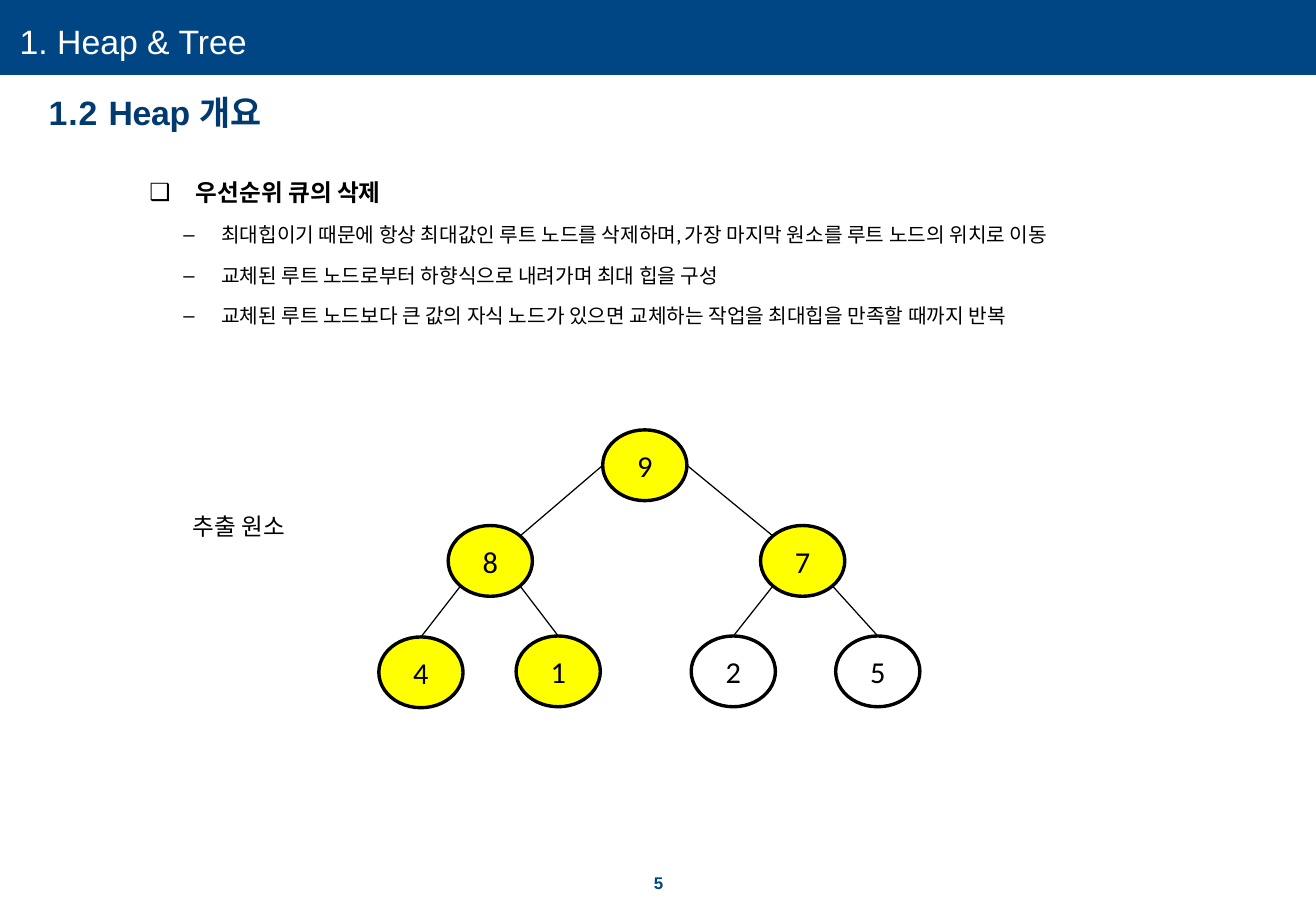
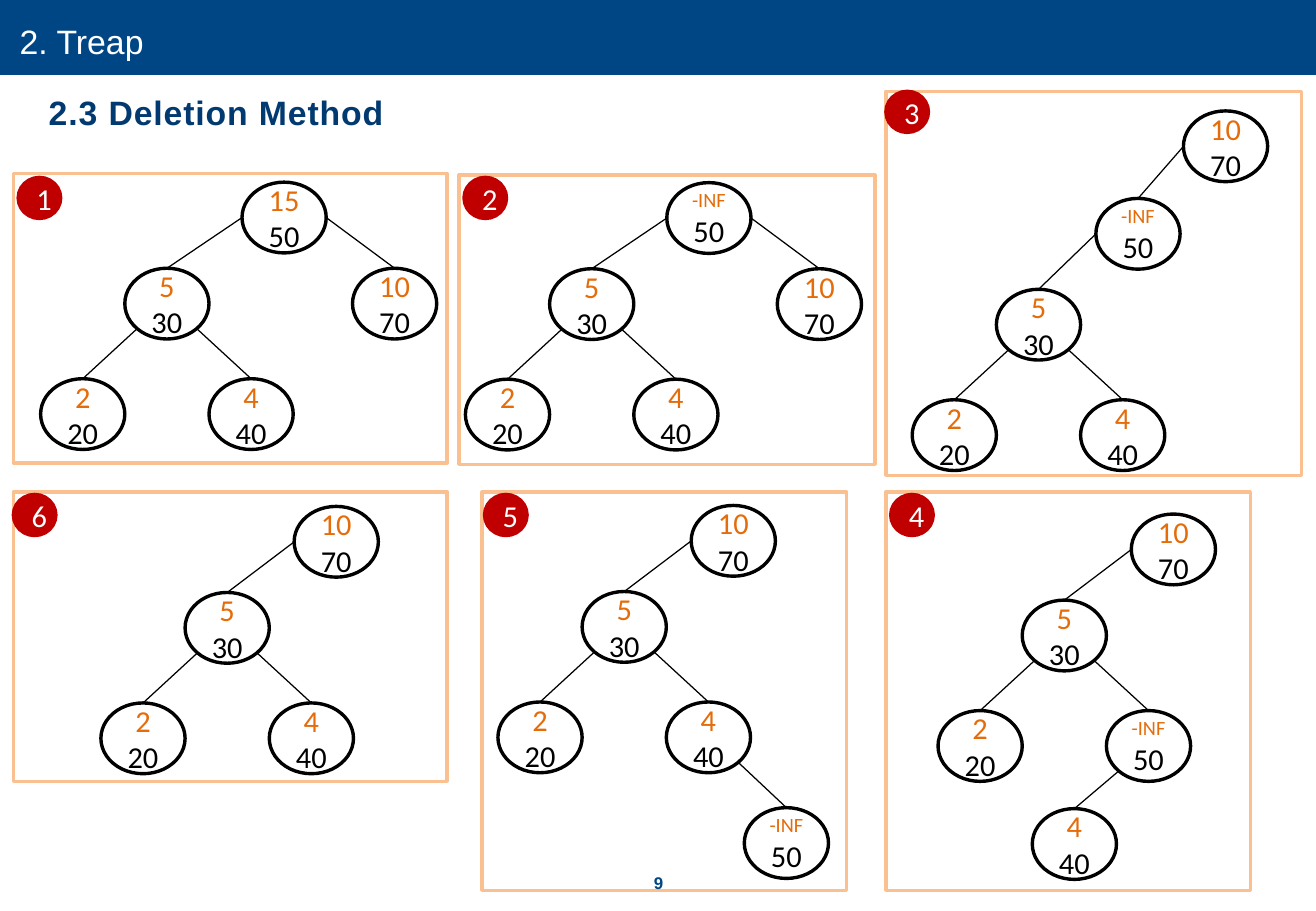
from dataclasses import dataclass
from math import sqrt

from lxml import etree
from pptx import Presentation
from pptx.dml.color import RGBColor
from pptx.enum import shapes, text
from pptx.oxml.ns import qn
from pptx.util import Cm, Pt

COLORS = {
    "band": "004685", "heading": "003A70", "white": "FFFFFF", "black": "000000",
    "visited": "FFFF00", "priority": "E46C0A", "panel": "FAC090", "badge": "C00000",
}
SLIDE_W, SLIDE_H = 27.51, 19.05
NODE_W, NODE_H = 1.76, 1.48
BADGE_W, BADGE_H = 0.89, 0.86
LEVEL = 2.31

DIAGONAL = 1 / sqrt(2)
SITES = {
    "top": (0, -1), "left": (-1, 0), "right": (1, 0),
    "top left": (-DIAGONAL, -DIAGONAL), "top right": (DIAGONAL, -DIAGONAL),
    "bottom left": (-DIAGONAL, DIAGONAL), "bottom right": (DIAGONAL, DIAGONAL),
}
NO_INSETS = {"margin_left": 0, "margin_top": 0, "margin_right": 0, "margin_bottom": 0}
TITLE_FONT = {"name": "Arial", "size": Pt(20), "bold": False}
HEADING_FONT = {"name": "Arial", "size": Pt(20), "bold": True}
PAGE_FONT = {"name": "Arial", "size": Pt(10), "bold": True}
LABEL_FONT = {"name": "Calibri", "size": Pt(14)}
NODE_FONT = {"name": "Calibri", "size": Pt(18)}
SMALL_FONT = {"name": "Calibri", "size": Pt(12)}
BULLETS = [
    {"char": "❑", "left": 0.97, "hang": 0.97,
     "font": {"name": "Cambria", "size": Pt(14), "bold": True}},
    {"char": "–", "left": 1.5, "hang": 0.79,
     "font": {"name": "Cambria", "size": Pt(12), "bold": False}},
]


@dataclass
class Node:
    """A tree node; dx and dy lead from its parent's corner to its own."""
    lines: list
    dx: float = 0
    dy: float = 0
    leaves: str = ""
    enters: str = "top"
    kids: tuple = ()
    fill: str = ""


def rgb(name):
    return RGBColor.from_string(COLORS[name])


def apply(obj, values):
    for name, value in values.items():
        setattr(obj, name, value)


def cm_box(*lengths):
    return [Cm(round(n, 2)) for n in lengths]


def place(sp, *box):
    apply(sp, dict(zip(("left", "top", "width", "height"), cm_box(*box))))


def add_run(p, words, font, color, spacing=0):
    r = p.add_run()
    r.text = words
    apply(r.font, font)
    r.font.color.rgb = rgb(color)
    if spacing:
        r._r.get_or_add_rPr().set("spc", str(spacing))


def add_shape(slide, kind, box, fill=None, line=None):
    sp = slide.shapes.add_shape(kind, *cm_box(*box))
    sp.shadow.inherit = False
    if fill:
        sp.fill.solid()
        sp.fill.fore_color.rgb = rgb(fill)
    else:
        sp.fill.background()
    if line:
        sp.line.color.rgb = rgb(line)
        sp.line.width = Pt(2)
    else:
        sp.line.fill.background()
    return sp


def add_oval(slide, box, lines, fill, line):
    """Each of lines is (words, font, colour) and becomes a centred paragraph."""
    sp = add_shape(slide, shapes.MSO_SHAPE.OVAL, box, fill, line)
    tf = sp.text_frame
    for i, line_format in enumerate(lines):
        p = tf.add_paragraph() if i else tf.paragraphs[0]
        p.alignment = text.PP_ALIGN.CENTER
        add_run(p, *line_format)


def add_edge(slide, start, end):
    ln = slide.shapes.add_connector(
        shapes.MSO_CONNECTOR.STRAIGHT, *cm_box(*start, *end))
    ln.line.color.rgb = rgb("black")
    ln.line.width = Pt(0.75)
    etree.SubElement(ln._element.spPr, qn("a:effectLst"))


def site_point(x, y, site):
    sx, sy = SITES[site]
    return x + NODE_W / 2 * (1 + sx), y + NODE_H / 2 * (1 + sy)


def draw_tree(slide, node, x, y):
    for kid in node.kids:
        kid_x, kid_y = x + kid.dx, y + kid.dy
        add_edge(slide, site_point(x, y, kid.leaves),
                 site_point(kid_x, kid_y, kid.enters))
        draw_tree(slide, kid, kid_x, kid_y)
    add_oval(slide, (x, y, NODE_W, NODE_H), node.lines, node.fill, "black")


def add_text(slide, box, runs, **frame):
    """Each of runs is (words, font, colour, spacing)."""
    tf = slide.shapes.add_textbox(*cm_box(*box)).text_frame
    apply(tf, {"word_wrap": True, **frame})
    for run in runs:
        add_run(tf.paragraphs[0], *run)
    return tf.paragraphs[0]


def add_header(slide, title, heading_runs):
    band = add_shape(slide, shapes.MSO_SHAPE.RECTANGLE, (0, 0, SLIDE_W, 1.57), "band")
    slide.shapes._spTree.insert(2, band._element)
    sp = slide.shapes.title
    place(sp, 0.41, 0.43, 12, 0.86)
    tf = sp.text_frame
    apply(tf, {**NO_INSETS, "vertical_anchor": text.MSO_ANCHOR.TOP,
               "auto_size": text.MSO_AUTO_SIZE.NONE})
    p = tf.paragraphs[0]
    p.alignment = text.PP_ALIGN.LEFT
    add_run(p, title, TITLE_FONT, "white")
    add_text(slide, (1.02, 1.91, 16.79, 0.86),
             [(words, HEADING_FONT, "heading", spacing)
              for words, spacing in heading_runs], **NO_INSETS)


def add_page_number(slide, number):
    p = add_text(slide, (13.49, 18.29, 0.56, 0.38),
                 [(number, PAGE_FONT, "band", 50)], **NO_INSETS)
    p.line_spacing = Pt(10.9)
    p._p.get_or_add_pPr().set("marL", str(Cm(0.18)))


def fill_list(sp, box, items):
    """Each of items is (level, words)."""
    place(sp, *box)
    tf = sp.text_frame
    tf.auto_size = text.MSO_AUTO_SIZE.NONE
    for i, (level, words) in enumerate(items):
        bullet = BULLETS[level]
        p = tf.add_paragraph() if i else tf.paragraphs[0]
        apply(p, {"level": level, "line_spacing": 1.5})
        pPr = p._p.get_or_add_pPr()
        pPr.set("marL", str(Cm(bullet["left"])))
        pPr.set("indent", str(-Cm(bullet["hang"])))
        etree.SubElement(pPr, qn("a:buChar")).set("char", bullet["char"])
        add_run(p, words, bullet["font"], "black")


def heap_node(key, *args, fill="visited", **kwargs):
    return Node([(key, NODE_FONT, "black")], *args, fill=fill, **kwargs)


def treap_node(priority, key, *args, **kwargs):
    font = SMALL_FONT if priority == "-INF" else NODE_FONT
    return Node([(priority, font, "priority"), (key, NODE_FONT, "black")],
                *args, **kwargs)


def subtree(dx, dy, right=("4", "40"), right_kids=()):
    """Node 30 with node 20 on its left and the given node on its right."""
    return treap_node("5", "30", dx, dy, "left", kids=(
        treap_node("2", "20", -NODE_W, LEVEL, "bottom left"),
        treap_node(*right, NODE_W, LEVEL, "bottom right", kids=right_kids)))


def full_treap(priority):
    return treap_node(priority, "50", kids=(
        subtree(-2.45, 1.8), treap_node("10", "70", 2.31, 1.8, "right")))


def treap_70(*kids):
    return treap_node("10", "70", kids=kids)


def add_step(slide, number, box, badge_at, root_at, root):
    """A framed step; badge and root are placed from the frame's corner."""
    x, y = box[:2]
    draw_tree(slide, root, x + root_at[0], y + root_at[1])
    add_shape(slide, shapes.MSO_SHAPE.RECTANGLE, box, line="panel")
    add_oval(slide, (x + badge_at[0], y + badge_at[1], BADGE_W, BADGE_H),
             [(number, NODE_FONT, "white")], "badge", "badge")


def heap_slide(prs):
    slide = prs.slides.add_slide(prs.slide_layouts[1])
    add_header(slide, "1. Heap & Tree", [("1.2 ", 50), ("Heap 개요", -20)])
    fill_list(slide.placeholders[1], (2.87, 3.3, 23.16, 5.13), [
        (0, "우선순위 큐의 삭제"),
        (1, "최대힙이기 때문에 항상 최대값인 루트 노드를 삭제하며, "
            "가장 마지막 원소를 루트 노드의 위치로 이동"),
        (1, "교체된 루트 노드로부터 하향식으로 내려가며 최대 힙을 구성"),
        (1, "교체된 루트 노드보다 큰 값의 자식 노드가 있으면 "
            "교체하는 작업을 최대힙을 만족할 때까지 반복"),
    ])
    add_text(slide, (3.78, 10.57, 2.62, 0.86),
             [("추출 원소", LABEL_FONT, "black")], word_wrap=False)
    heap = heap_node("9", kids=(
        heap_node("8", -3.23, 2, "left", "top right", kids=(
            heap_node("4", -1.45, 2.33, "bottom left"),
            heap_node("1", 1.42, LEVEL, "bottom right"))),
        heap_node("7", 3.3, 2, "right", "top left", kids=(
            heap_node("2", -1.45, LEVEL, "bottom left", fill=""),
            heap_node("5", 1.57, LEVEL, "bottom right", fill="")))))
    draw_tree(slide, heap, 12.6, 8.99)
    add_page_number(slide, "5")


def treap_slide(prs):
    slide = prs.slides.add_slide(prs.slide_layouts[5])
    add_header(slide, "2. Treap", [("2.3 Deletion Method", 50)])
    inf_above = treap_node("-INF", "50", -1.83, 1.83, "left",
                           kids=(subtree(-2.08, 1.9),))
    last_40 = treap_node("4", "40", -1.55, 2.05, "bottom left")
    last_inf = treap_node("-INF", "50", 1.63, 2.21, "bottom right")
    steps = [
        ((0.28, 3.63, 9.07, 6.05), (0.1, 0.08), (4.78, 0.18), full_treap("15")),
        ((9.6, 3.66, 8.69, 6.05), (0.1, 0.05), (4.34, 0.16), full_treap("-INF")),
        ((18.52, 1.91, 8.69, 8.03), (0, 0), (6.22, 0.41), treap_70(inf_above)),
        ((18.52, 10.29, 7.62, 8.33), (0.1, 0.05), (5.13, 0.46),
         treap_70(subtree(-2.28, 1.8, ("-INF", "50"), (last_40,)))),
        ((10.08, 10.29, 7.62, 8.33), (0.05, 0.05), (4.37, 0.28),
         treap_70(subtree(-2.28, 1.8, right_kids=(last_inf,)))),
        ((0.28, 10.29, 9.07, 6.05), (0, 0.05), (5.87, 0.3),
         treap_70(subtree(-2.28, 1.8))),
    ]
    for number, step in enumerate(steps, 1):
        add_step(slide, str(number), *step)
    add_page_number(slide, "9")


def main():
    prs = Presentation()
    prs.slide_width, prs.slide_height = cm_box(SLIDE_W, SLIDE_H)
    heap_slide(prs)
    treap_slide(prs)
    prs.save("out.pptx")


if __name__ == "__main__":
    main()
